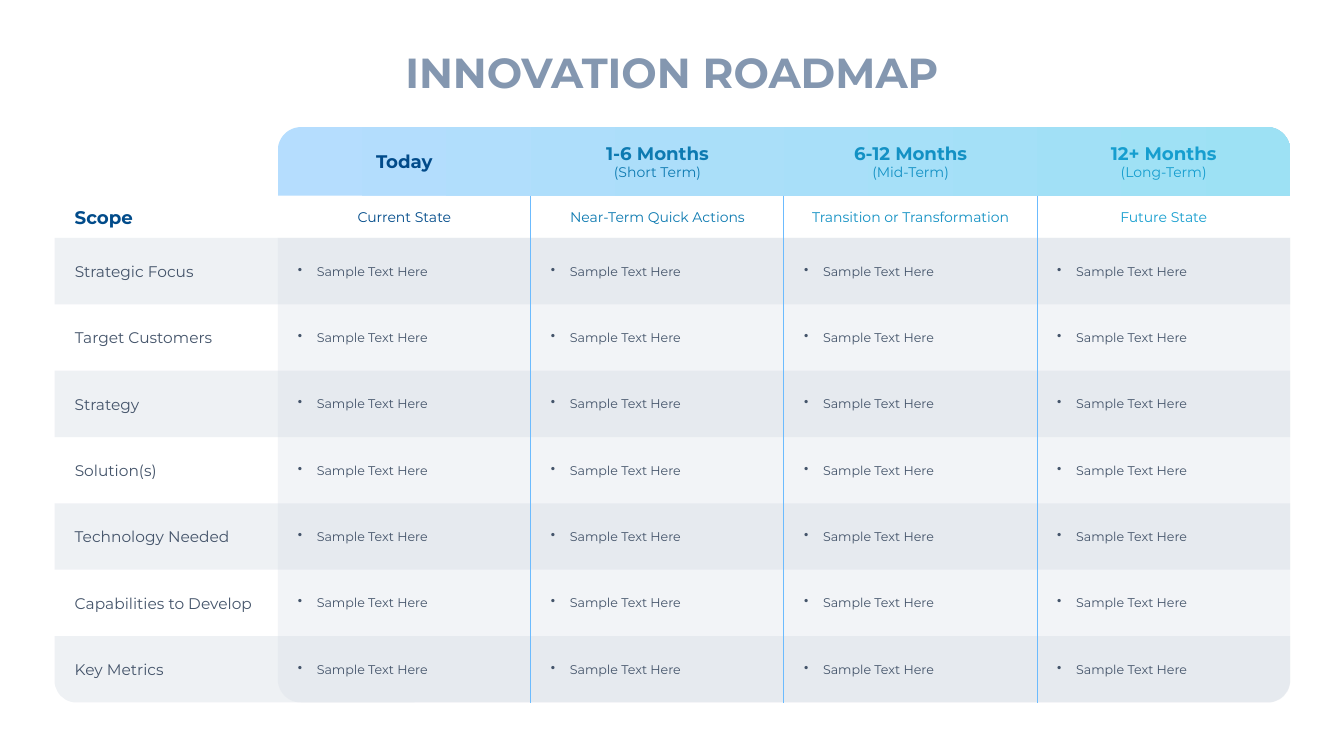
import pptx
import pptx.util
import pptx.dml.color
import pptx.enum.dml
import pptx.enum.shapes
import pptx.enum.text
import lxml.etree

Pt = pptx.util.Pt
RGB = pptx.dml.color.RGBColor
SHAPE = pptx.enum.shapes.MSO_SHAPE
ALIGN = pptx.enum.text.PP_ALIGN
FIT = pptx.enum.text.MSO_AUTO_SIZE
MIDDLE = pptx.enum.text.MSO_ANCHOR.MIDDLE

TITLE = RGB(0x84, 0x97, 0xB0)
BAND = RGB(0xD6, 0xDC, 0xE5)
SLATE = RGB(0x44, 0x54, 0x6A)
NAVY = RGB(0x01, 0x4B, 0x8A)
BLUE = RGB(0x0D, 0x7A, 0xB1)
AZURE = RGB(0x13, 0x91, 0xC4)
CYAN = RGB(0x16, 0x9E, 0xCF)
RULE = RGB(0x6C, 0xBB, 0xFE)
SKY = RGB(0xB5, 0xDD, 0xFE)
AQUA = RGB(0x9D, 0xE1, 0xF4)

LEFT, RIGHT = 39, 921.6
GRID, WIDE = 198.4, 180.8
HEAD, SCOPE, BODY = 90.8, 139.8, 170
HIGH = 47.4

# head, note, scope, colour, width of head, width of scope
STAGES = [
    ("Today", "", "Current State", NAVY, 56, 86),
    ("1-6 Months", "(Short Term)", "Near-Term Quick Actions", BLUE, 89, 148),
    ("6-12 Months", "(Mid-Term)", "Transition or Transformation", AZURE, 96, 158),
    ("12+ Months", "(Long-Term)", "Future State", CYAN, 91, 81),
]
ROWS = [
    ("Strategic Focus", 112),
    ("Target Customers", 126),
    ("Strategy", 72),
    ("Solution(s)", 84),
    ("Technology Needed", 139),
    ("Capabilities to Develop", 150),
    ("Key Metrics", 86),
]
END = BODY + HIGH * len(ROWS)

deck = pptx.Presentation()
deck.slide_width, deck.slide_height = Pt(960), Pt(540)
slide = deck.slides.add_slide(deck.slide_layouts[6])
shapes = slide.shapes


def plate(kind, x, y, w, h, alpha=None, round=()):
    """Add a borderless panel, tinted with BAND at alpha percent if given."""
    item = shapes.add_shape(kind, Pt(x), Pt(y), Pt(w), Pt(h))
    item.shadow.inherit = False
    item.line.fill.background()
    for i, value in enumerate(round):
        item.adjustments[i] = value
    if alpha:
        item.fill.solid()
        item.fill.fore_color.rgb = BAND
        tint = item.fill._xPr.find(".//" + pptx.oxml.ns.qn("a:srgbClr"))
        lxml.etree.SubElement(tint, pptx.oxml.ns.qn("a:alpha"), val=str(alpha * 1000))
    return item


def label(lines, x, mid, w, h, color, align=ALIGN.LEFT, pad=(7.2, 3.6), bullet=False):
    """Add (text, size, bold) lines in a box centred vertically on mid."""
    box = shapes.add_textbox(Pt(x), Pt(mid - h / 2), Pt(w), Pt(h))
    frame = box.text_frame
    form = {
        "word_wrap": bullet,
        "auto_size": FIT.NONE if bullet else FIT.SHAPE_TO_FIT_TEXT,
        "vertical_anchor": MIDDLE,
        "margin_left": Pt(pad[0]),
        "margin_right": Pt(14.4 if pad[1] > 4 else 7.2),
        "margin_top": Pt(pad[1]),
        "margin_bottom": Pt(pad[1]),
    }
    for key, value in form.items():
        setattr(frame, key, value)
    for i, (text, size, bold) in enumerate(lines):
        para = frame.add_paragraph() if i else frame.paragraphs[0]
        para.alignment = align
        if bullet:
            props = para._p.get_or_add_pPr()
            props.set("marL", str(Pt(13.5)))
            props.set("indent", str(Pt(-13.5)))
            lxml.etree.SubElement(props, pptx.oxml.ns.qn("a:buChar"), char="•")
        run = para.add_run()
        run.text = text
        style = {"name": "Montserrat", "size": Pt(size), "bold": bold}
        for key, value in style.items():
            setattr(run.font, key, value)
        run.font.color.rgb = color


label([("INNOVATION ROADMAP", 30, True)], 271.6, 51.5, 416.8, 51, TITLE,
      ALIGN.CENTER, (14.4, 7.2))

# Bands and header
last = len(ROWS) - 1
for row in range(0, len(ROWS), 2):
    kind, round = SHAPE.RECTANGLE, ()
    if row == last:
        kind, round = SHAPE.ROUND_2_SAME_RECTANGLE, (0, 0.33)
    plate(kind, LEFT, BODY + row * HIGH, RIGHT - LEFT, HIGH, 40, round)

head = plate(SHAPE.ROUND_2_SAME_RECTANGLE, GRID, HEAD, RIGHT - GRID, SCOPE - HEAD,
             round=(0.34, 0))
head.fill.gradient()
head.fill.gradient_angle = 0
for stop, color in zip(head.fill.gradient_stops, (SKY, AQUA)):
    stop.color.rgb = color
plate(SHAPE.ROUND_2_SAME_RECTANGLE, GRID, BODY, RIGHT - GRID, END - BODY, 30, (0, 0.05))

# Column rules
for col in range(1, len(STAGES)):
    x = Pt(GRID + col * WIDE)
    rule = shapes.add_connector(pptx.enum.shapes.MSO_CONNECTOR.STRAIGHT,
                                x, Pt(SCOPE), x, Pt(END))
    rule.line.color.rgb = RULE
    rule.line.width = Pt(0.75)
    lxml.etree.SubElement(rule._element.spPr, pptx.oxml.ns.qn("a:effectLst"))

# Column heads
for col, (name, note, scope, color, wide, span) in enumerate(STAGES):
    mid = GRID + (col + 0.5) * WIDE
    lines = [(name, 13, True)]
    if note:
        lines.append((note, 10, False))
    label(lines, mid - wide / 2, (HEAD + SCOPE) / 2, wide, 35 if note else 23,
          color, ALIGN.CENTER)
    label([(scope, 10, False)], mid - span / 2, (SCOPE + BODY) / 2, span, 19.4,
          color, ALIGN.CENTER)

# Row names and cells
label([("Scope", 13, True)], LEFT, (SCOPE + BODY) / 2, 64, 23, NAVY, pad=(14.4, 3.6))
for row, (name, wide) in enumerate(ROWS):
    mid = BODY + (row + 0.5) * HIGH
    label([(name, 11, False)], LEFT, mid, wide, 20.6, SLATE, pad=(14.4, 3.6))
    for col in range(len(STAGES)):
        label([("Sample Text Here", 9, False)], GRID + col * WIDE, mid, WIDE, HIGH,
              SLATE, pad=(14.4, 3.6), bullet=True)

deck.save("out.pptx")
